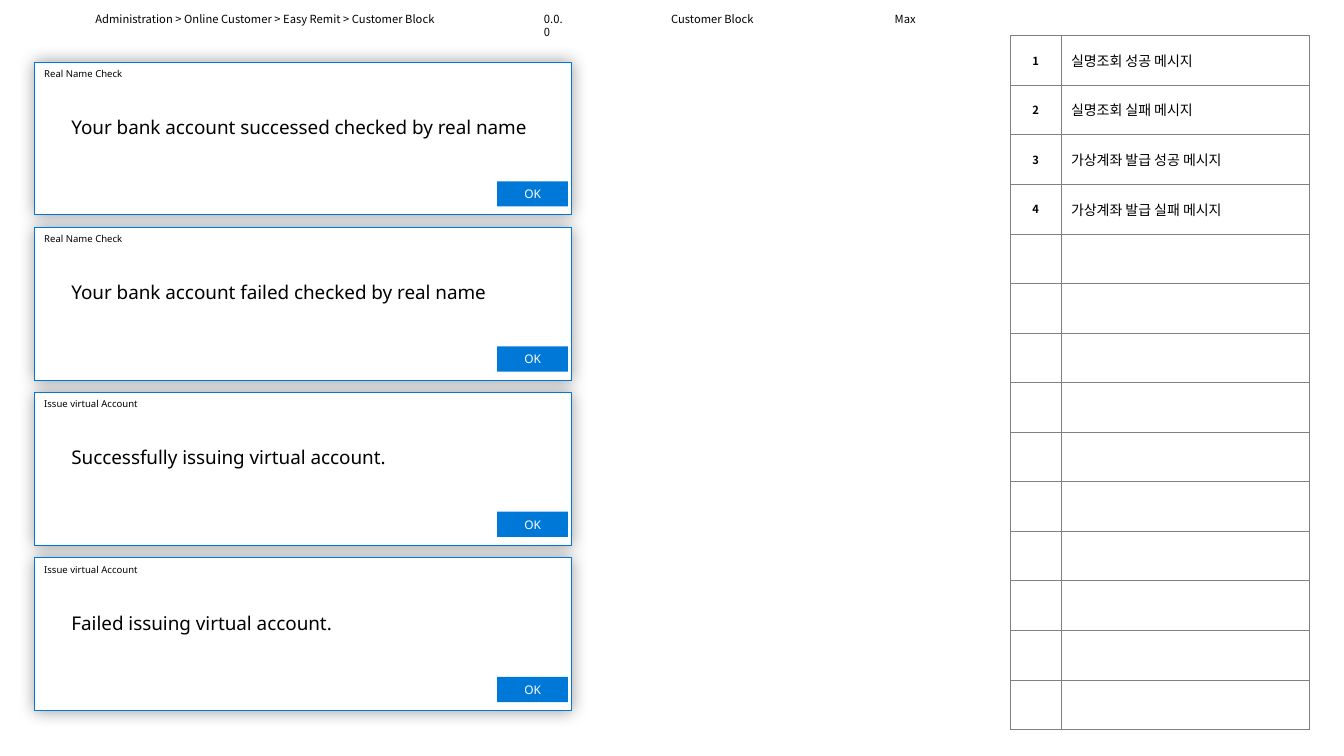
import pptx
import pptx.util
import pptx.oxml
import pptx.oxml.ns
import pptx.dml.color
import pptx.enum.shapes
import pptx.enum.text
from dataclasses import dataclass

Pt = pptx.util.Pt
ALIGN = pptx.enum.text.PP_ALIGN
ANCHOR = pptx.enum.text.MSO_ANCHOR
RECT = pptx.enum.shapes.MSO_SHAPE.RECTANGLE
NS = pptx.oxml.ns.nsdecls("a")


@dataclass(frozen=True)
class Theme:
    text: str = "000000"
    paper: str = "FFFFFF"
    accent: str = "0078D7"
    grid: str = "808080"
    doc_font: str = "Noto Sans CJK KR"
    ui_font: str = "Noto Sans"
    header: float = 8
    number: float = 8
    description: float = 10
    title: float = 6.8
    message: float = 13.5
    button: float = 8.5
    hairline: float = 0.5


THEME = Theme()


def rgb(value):
    return pptx.dml.color.RGBColor.from_string(value)


def write(tf, text, size, font, color=THEME.text, bold=False,
          align=ALIGN.LEFT, anchor=ANCHOR.TOP, insets=(7.2, 3.6, 7.2, 3.6)):
    tf.text = text
    tf.vertical_anchor = anchor
    tf.margin_left, tf.margin_top, tf.margin_right, tf.margin_bottom = map(Pt, insets)
    p = tf.paragraphs[0]
    p.alignment = align
    for r in p.runs:
        r.font.size = Pt(size)
        r.font.name = font
        r.font.bold = bold
        r.font.color.rgb = rgb(color)
        r.font._element.append(
            pptx.oxml.parse_xml(f'<a:ea {NS} typeface="{font}"/>'))


def add_text(shapes, box, text, size, font, wrap=True, **style):
    s = shapes.add_textbox(*map(Pt, box))
    s.text_frame.word_wrap = wrap
    write(s.text_frame, text, size, font, **style)
    return s


def add_rect(shapes, box, fill, line=None):
    s = shapes.add_shape(RECT, *map(Pt, box))
    s.shadow.inherit = False
    s.fill.solid()
    s.fill.fore_color.rgb = rgb(fill)
    if line:
        s.line.color.rgb = rgb(line)
        s.line.width = Pt(THEME.hairline)
    else:
        s.line.fill.background()
    return s


def add_glow(s):
    effects = s._element.spPr.find(pptx.oxml.ns.qn("a:effectLst"))
    effects.append(pptx.oxml.parse_xml(
        f'<a:outerShdw {NS} blurRad="{Pt(12)}" dist="0" algn="ctr" rotWithShape="0">'
        f'<a:srgbClr val="{THEME.text}"><a:alpha val="40000"/></a:srgbClr>'
        '</a:outerShdw>'))


def add_borders(cell):
    tcPr = cell._tc.get_or_add_tcPr()
    for i, side in enumerate("LRTB"):
        tcPr.insert(i, pptx.oxml.parse_xml(
            f'<a:ln{side} {NS} w="{Pt(THEME.hairline)}"><a:solidFill>'
            f'<a:srgbClr val="{THEME.grid}"/></a:solidFill></a:ln{side}>'))


def build_header(slide, box, fields):
    x, y, _, h = box
    for offset, width, text, wrap in fields:
        add_text(slide.shapes, (x + offset, y, width, h), text,
                 THEME.header, THEME.doc_font, wrap=wrap)


def build_descriptions(slide, box, items, rows):
    x, y, w, h = box
    table = slide.shapes.add_table(rows, 2, *map(Pt, box)).table
    table.first_row = table.horz_banding = False
    number_width = 36
    table.columns[0].width = Pt(number_width)
    table.columns[1].width = Pt(w - number_width)
    for i, row in enumerate(table.rows):
        row.height = Pt(h / rows)
        for cell in row.cells:
            cell.fill.background()
            add_borders(cell)
        if i < len(items):
            number, description = row.cells
            write_cell(number, str(i + 1), THEME.number, True, ALIGN.CENTER)
            write_cell(description, items[i], THEME.description, False, ALIGN.LEFT)


def write_cell(cell, text, size, bold, align):
    write(cell.text_frame, text, size, THEME.doc_font, bold=bold, align=align)
    cell.vertical_anchor = ANCHOR.MIDDLE


def build_dialog(slide, box, title, message):
    x, y, w, h = box
    shapes = slide.shapes.add_group_shape().shapes
    window = add_rect(shapes, box, THEME.paper, THEME.accent)
    add_glow(window)
    window.text_frame.word_wrap = True
    write(window.text_frame, title, THEME.title, THEME.ui_font,
          insets=(7.2, 4.3, 7.2, 3.6))
    add_text(shapes, (x + 26.5, y + 38.3, w - 29, 16.5), message,
             THEME.message, THEME.ui_font, insets=(0, 0, 0, 0))
    button = add_rect(shapes, (x + w - 53, y + h - 24, 50.5, 18), THEME.accent)
    button.text_frame.word_wrap = False
    write(button.text_frame, "OK", THEME.button, THEME.ui_font,
          color=THEME.paper, align=ALIGN.CENTER, anchor=ANCHOR.MIDDLE)


def build_slide(prs):
    slide = prs.slides.add_slide(prs.slide_layouts[6])
    build_descriptions(slide, (721.8, 25.4, 213.6, 496), [
        "실명조회 성공 메시지",
        "실명조회 실패 메시지",
        "가상계좌 발급 성공 메시지",
        "가상계좌 발급 실패 메시지",
    ], rows=14)
    build_header(slide, (61, 5, 602, 17), [
        (0, 338.5, "Administration > Online Customer > Easy Remit > Customer Block", True),
        (320.5, 31.5, "0.0.0", True),
        (411.3, 105, "Customer Block", True),
        (571, 30.5, "Max", False),
    ])
    dialogs = [
        ("Real Name Check", "Your bank account successed checked by real name"),
        ("Real Name Check", "Your bank account failed checked by real name"),
        ("Issue virtual Account", "Successfully issuing virtual account."),
        ("Issue virtual Account", "Failed issuing virtual account."),
    ]
    for i, (title, message) in enumerate(dialogs):
        build_dialog(slide, (24.5, 44.3 + i * 118, 383.7, 109.2), title, message)


prs = pptx.Presentation()
prs.slide_width, prs.slide_height = Pt(960), Pt(540)
build_slide(prs)
prs.save("out.pptx")
